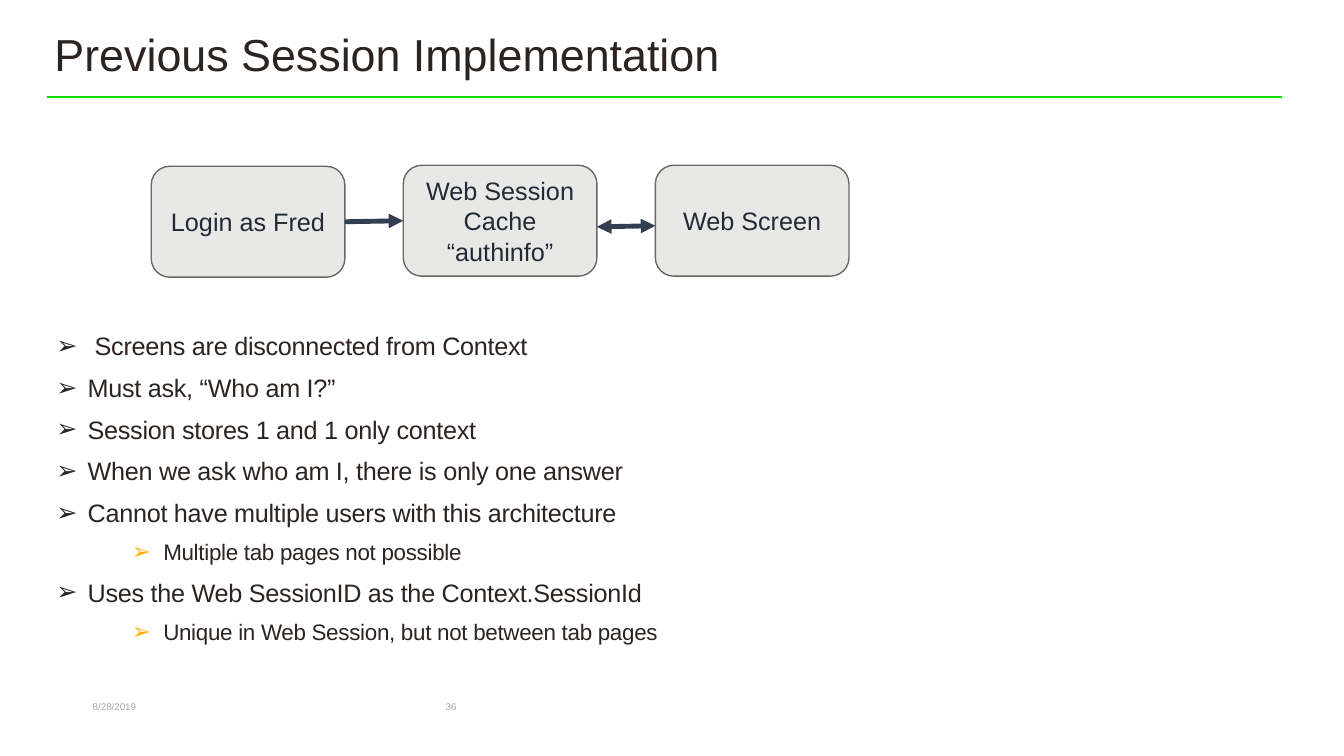
"""Build the slide on the previous session implementation."""
import dataclasses

import lxml.etree
import pptx
import pptx.dml.color
import pptx.enum.shapes
import pptx.enum.text
import pptx.oxml.ns
import pptx.util

Inches = pptx.util.Inches
Pt = pptx.util.Pt
qn = pptx.oxml.ns.qn
Align = pptx.enum.text.PP_ALIGN
Anchor = pptx.enum.text.MSO_ANCHOR

TITLE = "Previous Session Implementation"
STAGES = [
    ("Login as Fred", 1.65),
    ("Web Session Cache “authinfo”", 1.64),
    ("Web Screen", 1.64),
]
POINTS = [
    (0, "Screens are disconnected from Context"),
    (0, "Must ask, “Who am I?”"),
    (0, "Session stores 1 and 1 only context"),
    (0, "When we ask who am I, there is only one answer"),
    (0, "Cannot have multiple users with this architecture"),
    (1, "Multiple tab pages not possible"),
    (0, "Uses the Web SessionID as the Context.SessionId"),
    (1, "Unique in Web Session, but not between tab pages"),
]
FOOTERS = [("8/28/2019", 0.92, 3), ("36", 4.42, 4.5)]
STAGE_LEFT, STAGE_STEP, STAGE_WIDTH, STAGE_HEIGHT = 1.5, 2.5, 1.92, 1.1
LEVEL_INDENTS = (0.31, 1.06)
HANGING = 0.31
FIRST_INDENT = 0.38


@dataclasses.dataclass(frozen=True)
class Theme:
    """Hold the colours, font and type sizes."""
    font: str = "Arial"
    text: str = "2B2421"
    stage_text: str = "222A35"
    stage_fill: str = "E8E8E7"
    stage_line: str = "6B6864"
    arrow: str = "333F50"
    rule: str = "00DC00"
    footer: str = "A6A6A6"
    sub_bullet: str = "FFB000"
    title_size: int = 32
    stage_size: int = 18
    point_sizes: tuple = (18, 16)
    footer_size: int = 7


THEME = Theme()


def rgb(value):
    """Turn a hex string into a colour."""
    return pptx.dml.color.RGBColor.from_string(value)


def add_run(paragraph, text, size, color):
    """Add a styled run to a paragraph."""
    run = paragraph.add_run()
    run.text = text
    run.font.name = THEME.font
    run.font.size = Pt(size)
    run.font.color.rgb = rgb(color)
    return run


def add_text_frame(slide, left, top, width, height):
    """Add a wrapping text box without margins and return its frame."""
    box = slide.shapes.add_textbox(Inches(left), Inches(top), Inches(width), Inches(height))
    frame = box.text_frame
    frame.word_wrap = True
    frame.margin_left = frame.margin_top = frame.margin_right = frame.margin_bottom = 0
    return frame


def add_line(slide, start, end, color, width, ends=()):
    """Add a straight line with triangles at the named ends."""
    line = slide.shapes.add_connector(
        pptx.enum.shapes.MSO_CONNECTOR.STRAIGHT, *map(Inches, start + end))
    line.line.color.rgb = rgb(color)
    line.line.width = Pt(width)
    outline = line.line._get_or_add_ln()
    for end_name in ends:
        lxml.etree.SubElement(outline, qn("a:" + end_name), type="triangle")
    lxml.etree.SubElement(line._element.spPr, qn("a:effectLst"))
    return line


def add_title(slide):
    """Place the title and the rule beneath it."""
    title = slide.shapes.title
    title.left, title.top, title.width, title.height = map(Inches, (0.44, 0.21, 10.32, 0.64))
    title.text_frame.vertical_anchor = Anchor.MIDDLE
    paragraph = title.text_frame.paragraphs[0]
    paragraph.alignment = Align.LEFT
    add_run(paragraph, TITLE, THEME.title_size, THEME.text)
    add_line(slide, (0.47, 0.96), (12.72, 0.96), THEME.rule, 1.75)


def add_stage(slide, index, label, top):
    """Add one rounded box of the flow."""
    stage = slide.shapes.add_shape(
        pptx.enum.shapes.MSO_SHAPE.ROUNDED_RECTANGLE,
        Inches(STAGE_LEFT + index * STAGE_STEP), Inches(top),
        Inches(STAGE_WIDTH), Inches(STAGE_HEIGHT))
    stage.shadow.inherit = False
    stage.fill.solid()
    stage.fill.fore_color.rgb = rgb(THEME.stage_fill)
    stage.line.color.rgb = rgb(THEME.stage_line)
    stage.line.width = Pt(1)
    stage.text_frame.word_wrap = True
    stage.text_frame.vertical_anchor = Anchor.MIDDLE
    paragraph = stage.text_frame.paragraphs[0]
    paragraph.alignment = Align.CENTER
    add_run(paragraph, label, THEME.stage_size, THEME.stage_text)
    return stage


def add_flow(slide):
    """Add the boxes and the arrows between them."""
    login, cache, _ = [add_stage(slide, index, *stage) for index, stage in enumerate(STAGES)]
    first_gap = STAGE_LEFT + STAGE_WIDTH
    second_gap = first_gap + STAGE_STEP
    arrow = add_line(slide, (first_gap, 2.2), (STAGE_LEFT + STAGE_STEP, 2.19),
                     THEME.arrow, 3.5, ("tailEnd",))
    arrow.begin_connect(login, 3)
    arrow.end_connect(cache, 1)
    add_line(slide, (second_gap, 2.25), (STAGE_LEFT + 2 * STAGE_STEP, 2.24),
             THEME.arrow, 3.5, ("headEnd", "tailEnd"))


def add_bullet(paragraph, level, indent, hanging):
    """Give a paragraph an arrow bullet and a hanging indent."""
    properties = paragraph._p.get_or_add_pPr()
    properties.set("marL", str(Inches(indent)))
    properties.set("indent", str(-Inches(hanging)))
    if level:
        color = lxml.etree.SubElement(properties, qn("a:buClr"))
        lxml.etree.SubElement(color, qn("a:srgbClr"), val=THEME.sub_bullet)
    lxml.etree.SubElement(properties, qn("a:buFont"), typeface=THEME.font)
    lxml.etree.SubElement(properties, qn("a:buChar"), char="➢")


def add_points(slide):
    """Add the two-level list."""
    frame = add_text_frame(slide, 0.56, 3.25, 12.17, 4)
    for index, (level, text) in enumerate(POINTS):
        paragraph = frame.add_paragraph() if index else frame.paragraphs[0]
        if index:
            add_bullet(paragraph, level, LEVEL_INDENTS[level], HANGING)
        else:
            add_bullet(paragraph, level, FIRST_INDENT, FIRST_INDENT)
        paragraph.level = level
        paragraph.line_spacing = 1.1
        paragraph.space_before = Pt(3 if index else 0)
        paragraph.space_after = Pt(3)
        run = add_run(paragraph, text, THEME.point_sizes[level], THEME.text)
        run._r.get_or_add_rPr().set("spc", "-20")


def main():
    """Build and save the presentation."""
    presentation = pptx.Presentation()
    presentation.slide_width, presentation.slide_height = Inches(13.33), Inches(7.5)
    slide = presentation.slides.add_slide(presentation.slide_layouts[5])
    for text, left, width in FOOTERS:
        frame = add_text_frame(slide, left, 6.95, width, 0.4)
        add_run(frame.paragraphs[0], text, THEME.footer_size, THEME.footer)
    add_flow(slide)
    add_points(slide)
    add_title(slide)
    presentation.save("out.pptx")


if __name__ == "__main__":
    main()
